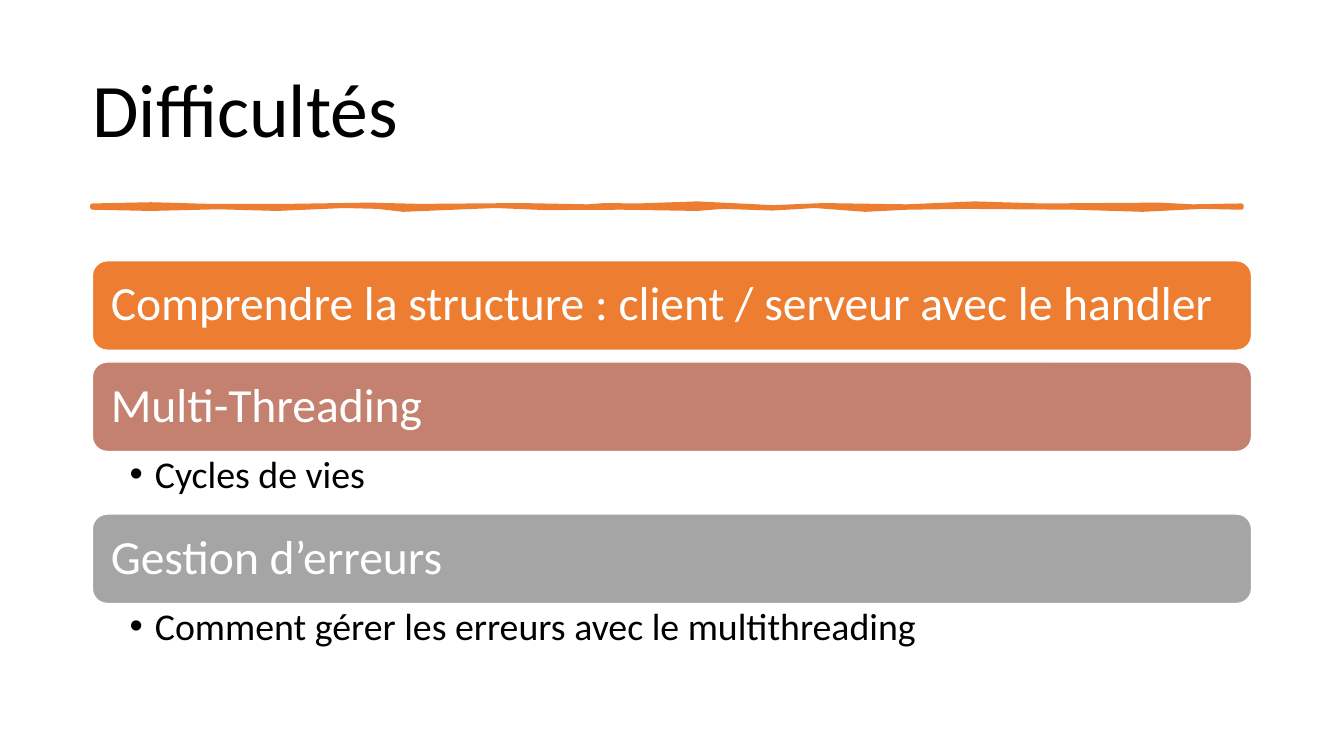
from dataclasses import dataclass
from typing import Any

import lxml.etree
import pptx
import pptx.dml.color
import pptx.enum.shapes
import pptx.enum.text
import pptx.oxml.ns
import pptx.util

COLUMNS, ROWS = 160, 90
CELL = pptx.util.Inches(7.5) // ROWS
LEFT, WIDTH = 11, 138
BAR_ROWS, LIST_ROWS, GAP_ROWS = 10.65, 7.45, 1.4
FIRST_BAR = 31.05
FONT = "Calibri"
ORANGE, ROSE, GREY = "ED7D31", "C48170", "A5A5A5"
WHITE, BLACK = "FFFFFF", "000000"


@dataclass(frozen=True)
class Topic:
    heading: str
    color: str
    detail: str = ""


@dataclass(frozen=True)
class Edge:
    """One side of the brush stroke: its base row and (column, row offset) waves."""
    row: float
    waves: tuple[tuple[float, float], ...]


TOPICS = (
    Topic("Comprendre la structure : client / serveur avec le handler", ORANGE),
    Topic("Multi-Threading", ROSE, "Cycles de vies"),
    Topic("Gestion d’erreurs", GREY, "Comment gérer les erreurs avec le multithreading"),
)
STROKE_TOP = Edge(24.5, (
    (11, 0), (18, -.15), (25, .05), (34, .05), (44, -.1), (50, .05), (62, -.05),
    (70, .1), (72, -.05), (76, 0), (83, -.25), (88, 0), (92, .2), (98, -.05),
    (108, .1), (116, -.25), (124, 0), (138, -.1), (142, .1), (147.8, 0)))
STROKE_BOTTOM = Edge(24.7, (
    (147.8, 0), (143, -.1), (136, .25), (128, 0), (115, -.1), (108, 0), (103, .25),
    (97, -.2), (92, .1), (86, -.1), (83, .15), (74, 0), (65, .05), (59, -.2),
    (48, .25), (45, -.1), (41, -.2), (33, .15), (26, -.05), (18, .15), (11, 0)))


def cells(count: float) -> int:
    return round(count * CELL)


def rgb(color: str) -> pptx.dml.color.RGBColor:
    return pptx.dml.color.RGBColor.from_string(color)


def apply(target: Any, values: dict[str, Any]) -> None:
    for name, value in values.items():
        setattr(target, name, value)


def place(sp: Any, top: float, height: float) -> None:
    apply(sp, {"left": cells(LEFT), "top": cells(top),
               "width": cells(WIDTH), "height": cells(height)})


def paint(sp: Any, fill: str, line: str, points: float) -> None:
    sp.shadow.inherit = False
    sp.fill.solid()
    sp.fill.fore_color.rgb = rgb(fill)
    sp.line.color.rgb = rgb(line)
    sp.line.width = pptx.util.Pt(points)


def write(sp: Any, text: str, size: float, color: str,
          insets: tuple[float, float, float, float], middle: bool = True) -> Any:
    """Fill a shape with one left-aligned paragraph; insets are in inches."""
    tf = sp.text_frame
    anchor = pptx.enum.text.MSO_ANCHOR
    sides = ("margin_left", "margin_top", "margin_right", "margin_bottom")
    apply(tf, {"word_wrap": True, "auto_size": pptx.enum.text.MSO_AUTO_SIZE.NONE,
               "vertical_anchor": anchor.MIDDLE if middle else anchor.TOP})
    apply(tf, {side: pptx.util.Inches(inset) for side, inset in zip(sides, insets)})
    p = tf.paragraphs[0]
    apply(p, {"alignment": pptx.enum.text.PP_ALIGN.LEFT, "line_spacing": 0.9,
              "space_before": pptx.util.Pt(0)})
    r = p.add_run()
    r.text = text
    apply(r.font, {"name": FONT, "size": pptx.util.Pt(size)})
    r.font.color.rgb = rgb(color)
    return p


def add_bullet(p: Any) -> None:
    p.level = 1
    pPr = p._p.get_or_add_pPr()
    indent = pptx.util.Inches(0.25)
    pPr.set("marL", str(indent))
    pPr.set("indent", str(-indent))
    lxml.etree.SubElement(pPr, pptx.oxml.ns.qn("a:buChar")).set("char", "•")


def draw_stroke(s: Any) -> None:
    start, *others = [(cells(column), cells(edge.row + offset))
                      for edge in (STROKE_TOP, STROKE_BOTTOM)
                      for column, offset in edge.waves]
    builder = s.shapes.build_freeform(*start)
    builder.add_line_segments(others, close=True)
    paint(builder.convert_to_shape(), ORANGE, ORANGE, 3.25)


def draw_bar(s: Any, topic: Topic, top: float) -> None:
    sp = s.shapes.add_shape(pptx.enum.shapes.MSO_SHAPE.ROUNDED_RECTANGLE, 0, 0, 0, 0)
    place(sp, top, BAR_ROWS)
    paint(sp, topic.color, WHITE, 1)
    write(sp, topic.heading, 34, WHITE, (0.14,) * 4)


def main() -> None:
    prs = pptx.Presentation()
    apply(prs, {"slide_width": cells(COLUMNS), "slide_height": cells(ROWS)})
    s = prs.slides.add_slide(prs.slide_layouts.get_by_name("Two Content"))
    title, *bodies = s.placeholders
    place(title, 4.8, 17.4)
    write(title, "Difficultés", 54, BLACK, (0,) * 4)
    draw_stroke(s)

    top = FIRST_BAR
    details = iter(bodies)
    for topic in TOPICS:
        draw_bar(s, topic, top)
        top += BAR_ROWS
        if topic.detail:
            sp = next(details)
            place(sp, top, LIST_ROWS)
            add_bullet(write(sp, topic.detail, 27, BLACK, (0.37, 0.04, 0.26, 0.04), middle=False))
            top += LIST_ROWS
        else:
            top += GAP_ROWS
    prs.save("out.pptx")


if __name__ == "__main__":
    main()
